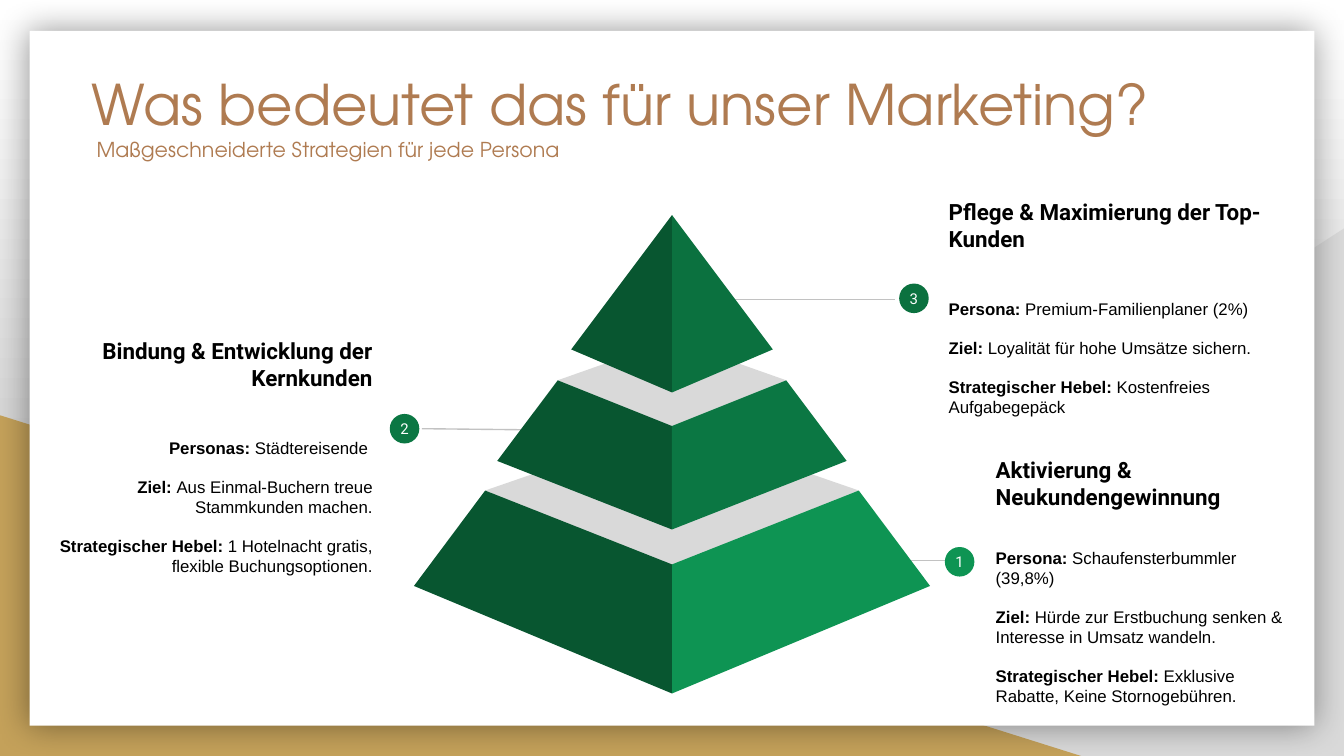
from lxml import etree
from pptx import Presentation
from pptx import util as u
from pptx.dml import color as tint
from pptx.enum import shapes, text
from pptx.oxml import ns

HUES = {
    "white": "FFFFFF", "smoke": "B3B3B3", "pale": "D9D9D9", "gold": "C4A15A",
    "bronze": "AF7B51", "black": "000000", "line": "C2C2C2", "dark": "085630",
    "low": "0E9453", "mid": "0B7743", "top": "0B713F",
}
KIND = shapes.MSO_SHAPE
LEFT, MID, RIGHT = text.PP_ALIGN.LEFT, text.PP_ALIGN.CENTER, text.PP_ALIGN.RIGHT


def hue(name):
    return tint.RGBColor.from_string(HUES[name])


class Deck:
    title, head, body = "TeX Gyre Adventor", "Roboto", "Arial"

    def __init__(self, slide):
        self.slide = slide
        self.items = slide.shapes

    def back(self, first, last):
        fill = self.slide.background.fill
        fill.gradient()
        fill.gradient_angle = 270
        for stop, name in zip(fill.gradient_stops, (first, last)):
            stop.color.rgb = hue(name)

    def paint(self, shape, fill):
        shape.shadow.inherit = False
        shape.fill.solid()
        shape.fill.fore_color.rgb = hue(fill)
        shape.line.fill.background()
        return shape

    def shape(self, kind, box, fill):
        return self.paint(self.items.add_shape(kind, *map(u.Inches, box)), fill)

    def glow(self, shape, blur, alpha):
        effects = shape._element.spPr.find(ns.qn("a:effectLst"))
        shade = etree.SubElement(effects, ns.qn("a:outerShdw"), blurRad=str(u.Pt(blur)),
                                 dist="0", dir="0", algn="ctr", rotWithShape="0")
        color = etree.SubElement(shade, ns.qn("a:srgbClr"), val=HUES["black"])
        etree.SubElement(color, ns.qn("a:alpha"), val=str(alpha * 1000))

    def poly(self, points, fill):
        spots = [(u.Inches(x), u.Inches(y)) for x, y in points]
        form = self.items.build_freeform(*spots[0], scale=1.0)
        form.add_line_segments(spots[1:], close=True)
        self.paint(form.convert_to_shape(), fill)

    def line(self, start, end):
        line = self.items.add_connector(shapes.MSO_CONNECTOR.STRAIGHT,
                                        *map(u.Inches, start + end))
        line.line.color.rgb = hue("line")
        line.line.width = u.Pt(0.75)
        etree.SubElement(line._element.spPr, ns.qn("a:effectLst"))

    def run(self, para, words, font, size, color, bold=False):
        run = para.add_run()
        run.text = words
        run.font.name, run.font.size, run.font.bold = font, u.Pt(size), bold
        run.font.color.rgb = hue(color)

    def frame(self, box, low=0.1):
        frame = self.items.add_textbox(*map(u.Inches, box)).text_frame
        frame.word_wrap = True
        frame.margin_left = frame.margin_right = frame.margin_top = u.Inches(0.1)
        frame.margin_bottom = u.Inches(low)
        return frame

    def heading(self, box, words, under):
        frame = self.frame(box)
        self.run(frame.paragraphs[0], words, self.title, 30, "bronze")
        para = frame.add_paragraph()
        para._p.get_or_add_pPr().set("marL", str(u.Inches(0.04)))
        self.run(para, under, self.title, 11, "bronze")

    def note(self, box, low, align, gap, words, rows):
        frame = self.frame(box, low)
        frame.vertical_anchor = text.MSO_ANCHOR.MIDDLE
        para = frame.paragraphs[0]
        para.alignment = align
        para.space_after = u.Pt(gap)
        self.run(para, words, self.head, 12, "black", True)
        for i, (label, value) in enumerate(rows):
            para = frame.add_paragraph()
            para.alignment = align
            para.space_before = u.Pt(10 if i else 0)
            self.run(para, label + ": ", self.body, 9, "black", True)
            self.run(para, value, self.body, 9, "black")

    def badge(self, spot, digit, fill):
        frame = self.shape(KIND.OVAL, spot + (0.22, 0.22), fill).text_frame
        frame.margin_left = frame.margin_right = 0
        frame.margin_top = frame.margin_bottom = 0
        frame.word_wrap = False
        frame.vertical_anchor = text.MSO_ANCHOR.MIDDLE
        para = frame.paragraphs[0]
        para.alignment = MID
        self.run(para, digit, self.head, 8, "white")

    def tier(self, half, fill, lid=None):
        if lid:
            self.poly(lid, "pale")
        self.poly(half, "dark")
        self.poly([(10 - x, y) for x, y in half], fill)


def main():
    show = Presentation()
    show.slide_width, show.slide_height = u.Inches(10), u.Inches(10 * 9 / 16)
    deck = Deck(show.slides.add_slide(show.slide_layouts[6]))
    deck.back("white", "smoke")

    wedge = deck.shape(KIND.RIGHT_TRIANGLE, (3.92, 1.7, 6.08, 3.93), "pale")
    wedge._element.spPr.find(ns.qn("a:xfrm")).set("flipH", "1")
    deck.shape(KIND.RIGHT_TRIANGLE, (0, 3.09, 8.06, 2.54), "gold")
    card = deck.shape(KIND.RECTANGLE, (0.22, 0.23, 9.56, 5.17), "white")
    deck.glow(card, 18, 40)
    deck.heading((0.58, 0.42, 8.41, 0.9), "Was bedeutet das für unser Marketing?",
                 "Maßgeschneiderte Strategien für jede Persona")

    notes = [
        ((7.31, 3.64, 2.34, 1.58), 0.31, LEFT, 20, "Aktivierung & Neukundengewinnung", [
            ("Persona", "Schaufensterbummler (39,8%)"),
            ("Ziel", "Hürde zur Erstbuchung senken & Interesse in Umsatz wandeln."),
            ("Strategischer Hebel", "Exklusive Rabatte, Keine Stornogebühren.")]),
        ((0.32, 2.44, 2.55, 2.07), 0.25, RIGHT, 25, "Bindung & Entwicklung der Kernkunden", [
            ("Personas", "Städtereisende "),
            ("Ziel", "Aus Einmal-Buchern treue Stammkunden machen."),
            ("Strategischer Hebel", "1 Hotelnacht gratis, flexible Buchungsoptionen.")]),
        ((6.96, 1.46, 2.62, 1.79), 0.23, LEFT, 25, "Pflege & Maximierung der Top-Kunden", [
            ("Persona", "Premium-Familienplaner (2%)"),
            ("Ziel", "Loyalität für hohe Umsätze sichern."),
            ("Strategischer Hebel", "Kostenfreies Aufgabegepäck")]),
    ]
    marks = [
        ((6.6, 4.17), (7.24, 4.17), (7.03, 4.07), "low"),
        ((4.11, 3.2), (3.14, 3.19), (2.9, 3.08), "mid"),
        ((5.37, 2.23), (6.66, 2.23), (6.69, 2.11), "top"),
    ]
    for i, (note, (start, end, spot, fill)) in enumerate(zip(notes, marks), 1):
        deck.line(start, end)
        deck.note(*note)
        deck.badge(spot, str(i), fill)

    deck.tier([(3.61, 3.65), (3.08, 4.36), (5, 5.16), (5, 4.2)], "low",
              [(3.61, 3.65), (5, 4.21), (6.39, 3.65), (5, 3.17)])
    deck.tier([(4.15, 2.83), (5, 3.17), (5, 3.94), (3.7, 3.43)], "mid",
              [(4.15, 2.83), (5, 3.17), (5.85, 2.83), (5, 2.53)])
    deck.tier([(5, 1.6), (4.25, 2.6), (5, 2.92)], "top")
    show.save("out.pptx")


if __name__ == "__main__":
    main()
